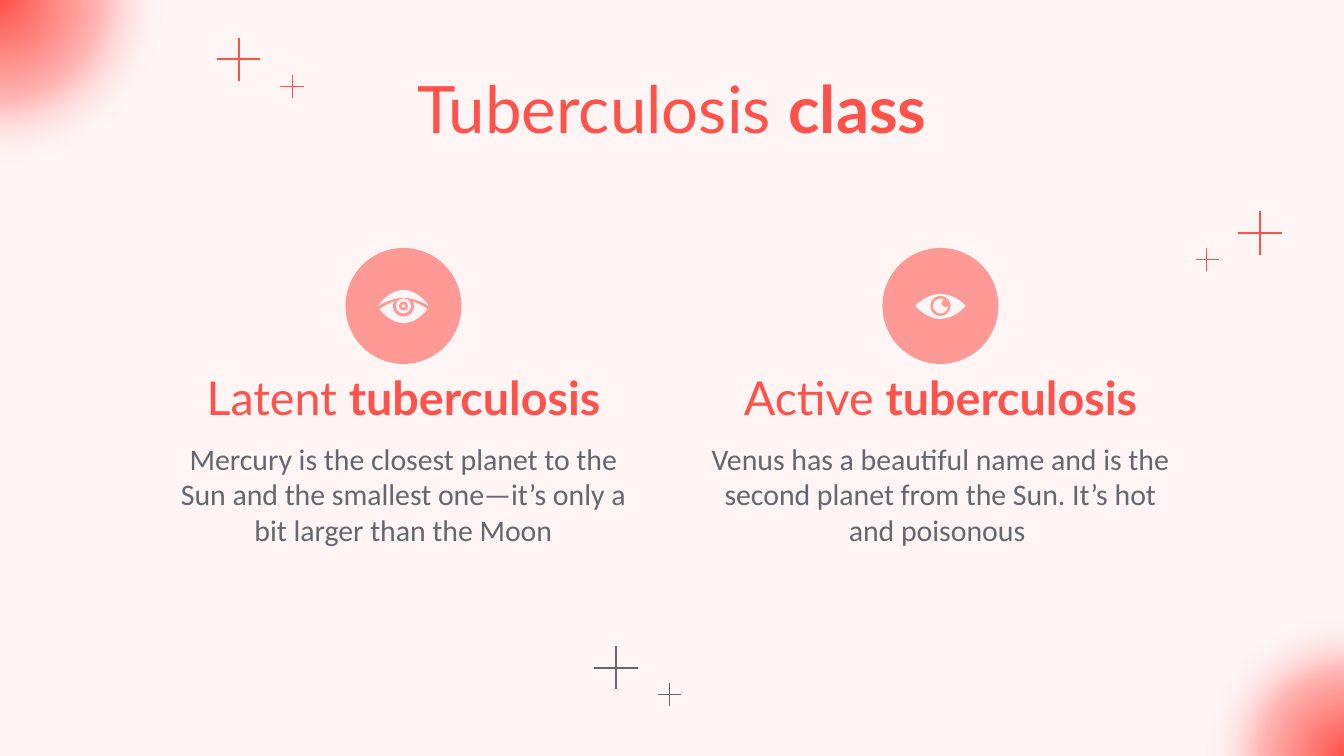
from dataclasses import dataclass

from lxml import etree
from pptx import Presentation
from pptx import util as u
from pptx.dml.color import RGBColor
from pptx.enum import shapes, text
from pptx.oxml import ns

SCALE = 914400 / 134.4
KIND = shapes.MSO_SHAPE


@dataclass(frozen=True)
class Theme:
    """Colours, fonts and type sizes of the slide."""
    back: str = "FFF5F5"
    red: str = "FF524B"
    pink: str = "FF9995"
    grey: str = "626870"
    clear: str = "FFFFFF"
    head: str = "Lato"
    body: str = "Calibri"
    title: int = 35
    sub: int = 25
    note: int = 16


THEME = Theme()
LID = [((0, -16), (-13, -16), (-24, -3), (-25, 0)),
       ((-25, 0), (-20, -4), (-9, -8), (0, -8))]
LOWER = [((0, -6), (-9, -6), (-20, 0), (-24, 3)),
         ((-24, 3), (-21, 7), (-12, 17), (0, 17))]
OPEN = [((0, -12), (-13, -12), (-24, -2), (-25, 0)),
        ((-25, 0), (-24, 2), (-13, 13), (0, 13))]


def emu(px):
    """Turn px into EMU."""
    return u.Emu(round(px * SCALE))


def paint(shape, color):
    """Give a shape a flat fill with no line or shadow."""
    shape.shadow.inherit = False
    shape.line.fill.background()
    shape.fill.solid()
    shape.fill.fore_color.rgb = RGBColor.from_string(color)


def disc(slide, x, y, size, color):
    """Add a circle centred on a point."""
    left, top = x - size / 2, y - size / 2
    shape = slide.shapes.add_shape(
        KIND.OVAL, emu(left), emu(top), emu(size), emu(size))
    paint(shape, color)
    return shape


def outline(slide, x, y, spots, color):
    """Add a closed outline around a point."""
    ends = [(emu(x + dx), emu(y + dy)) for dx, dy in spots]
    pen = slide.shapes.build_freeform(*ends[0])
    pen.add_line_segments(ends[1:])
    paint(pen.convert_to_shape(), color)


def glow(slide, x, y, size):
    """Add a disc that fades out from its centre."""
    shape = disc(slide, x, y, size, THEME.red)
    stops = [(0, THEME.red, 100), (39, THEME.red, 38),
             (66, THEME.clear, 0), (100, THEME.clear, 0)]
    marks = "".join(
        f'<a:gs pos="{pos * 1000}"><a:srgbClr val="{color}">'
        f'<a:alpha val="{alpha * 1000}"/></a:srgbClr></a:gs>'
        for pos, color, alpha in stops)
    grad = etree.fromstring(
        f'<a:gradFill {ns.nsdecls("a")}><a:gsLst>{marks}</a:gsLst>'
        '<a:path path="circle"><a:fillToRect l="50000" t="50000" r="50000" '
        'b="50000"/></a:path></a:gradFill>')
    props = shape._element.spPr
    props.replace(props.find(ns.qn("a:solidFill")), grad)


def sparks(slide, x, y, step, color):
    """Add a large plus and a small one beside it, each of two bars."""
    for dx, dy, size, bar in ((0, 0, 43, 2), (step, 27, 23, 1)):
        for wide, high in ((bar, size), (size, bar)):
            w, h = wide / 2, high / 2
            outline(slide, x + dx, y + dy,
                    [(-w, -h), (w, -h), (w, h), (-w, h)], color)


def write(box, frame, font, size, color, plain, strong=""):
    """Place a placeholder and fill it with centred words."""
    box.left, box.top, box.width, box.height = map(emu, frame)
    body = box.text_frame
    body.word_wrap = True
    body.auto_size = text.MSO_AUTO_SIZE.NONE
    body.vertical_anchor = text.MSO_ANCHOR.MIDDLE
    para = body.paragraphs[0]
    para.alignment = text.PP_ALIGN.CENTER
    para.space_before = u.Pt(0)
    props = para._p.get_or_add_pPr()
    props.set("marL", "0")
    props.set("indent", "0")
    etree.SubElement(props, ns.qn("a:buNone"))
    para.font.name = font
    para.font.size = u.Pt(size)
    para.font.bold = False
    para.font.color.rgb = RGBColor.from_string(color)
    para.add_run().text = plain
    if strong:
        run = para.add_run()
        run.text = strong
        run.font.bold = True


def curve(a, b, c, d, steps=12):
    """Return points along a cubic curve."""
    spots = []
    for i in range(steps + 1):
        t = i / steps
        s = 1 - t
        spots.append(tuple(
            s ** 3 * p + 3 * s * s * t * q + 3 * s * t * t * r + t ** 3 * e
            for p, q, r, e in zip(a, b, c, d)))
    return spots


def almond(slide, x, y, half):
    """Add an outline made of a left half and its mirror."""
    left = [spot for arc in half for spot in curve(*arc)]
    right = [(-dx, dy) for dx, dy in reversed(left)]
    outline(slide, x, y, left + right, THEME.back)


def rings(slide, x, y, discs):
    """Stack discs given as offset, size and colour."""
    for dx, dy, size, color in discs:
        disc(slide, x + dx, y + dy, size, color)


def lidded(slide, x, y):
    """Draw an eye with a separate upper lid."""
    almond(slide, x, y, LOWER)
    rings(slide, x, y, [(0, 0, 21, THEME.pink), (0, 0, 15, THEME.back),
                        (0, 0, 9, THEME.pink), (0, 0, 3, THEME.back)])
    almond(slide, x, y, LID)


def bright(slide, x, y):
    """Draw an eye with a glint in its pupil."""
    almond(slide, x, y, OPEN)
    rings(slide, x, y, [(0, 0, 20, THEME.pink), (0, 0, 15, THEME.back),
                        (5, -3, 8, THEME.pink)])


def column(slide, frame, name, note, first, words, eye):
    """Fill a column with an eye disc, a heading and a note."""
    x, y, width, _ = frame
    mid = x + width / 2
    disc(slide, mid, y + 58, 116, THEME.pink)
    eye(slide, mid, y + 58)
    write(name, (x, y + 115, width, 67), THEME.head, THEME.sub, THEME.red,
          first, "tuberculosis")
    write(note, (x, y + 183, width, 126), THEME.body, THEME.note, THEME.grey, words)


def build():
    """Build the slide and save it."""
    deck = Presentation()
    deck.slide_width, deck.slide_height = emu(1344), emu(756)
    slide = deck.slides.add_slide(deck.slide_layouts[4])
    fill = slide.background.fill
    fill.solid()
    fill.fore_color.rgb = RGBColor.from_string(THEME.back)
    glow(slide, 0, 0, 360)
    glow(slide, 1346, 756, 308)
    write(slide.shapes.title, (106, 65, 1132, 85), THEME.head, THEME.title,
          THEME.red, "Tuberculosis ", "class")
    spots = slide.placeholders
    column(slide, (155, 248, 497, 309), spots[1], spots[2], "Latent ",
           "Mercury is the closest planet to the Sun and the smallest one—it’s "
           "only a bit larger than the Moon", lidded)
    column(slide, (692, 248, 497, 309), spots[3], spots[4], "Active ",
           "Venus has a beautiful name and is the second planet from the Sun. "
           "It’s hot and poisonous ", bright)
    sparks(slide, 616, 668, 53, THEME.grey)
    sparks(slide, 239, 59, 53, THEME.red)
    sparks(slide, 1260, 233, -53, THEME.red)
    deck.save("out.pptx")


if __name__ == "__main__":
    build()
